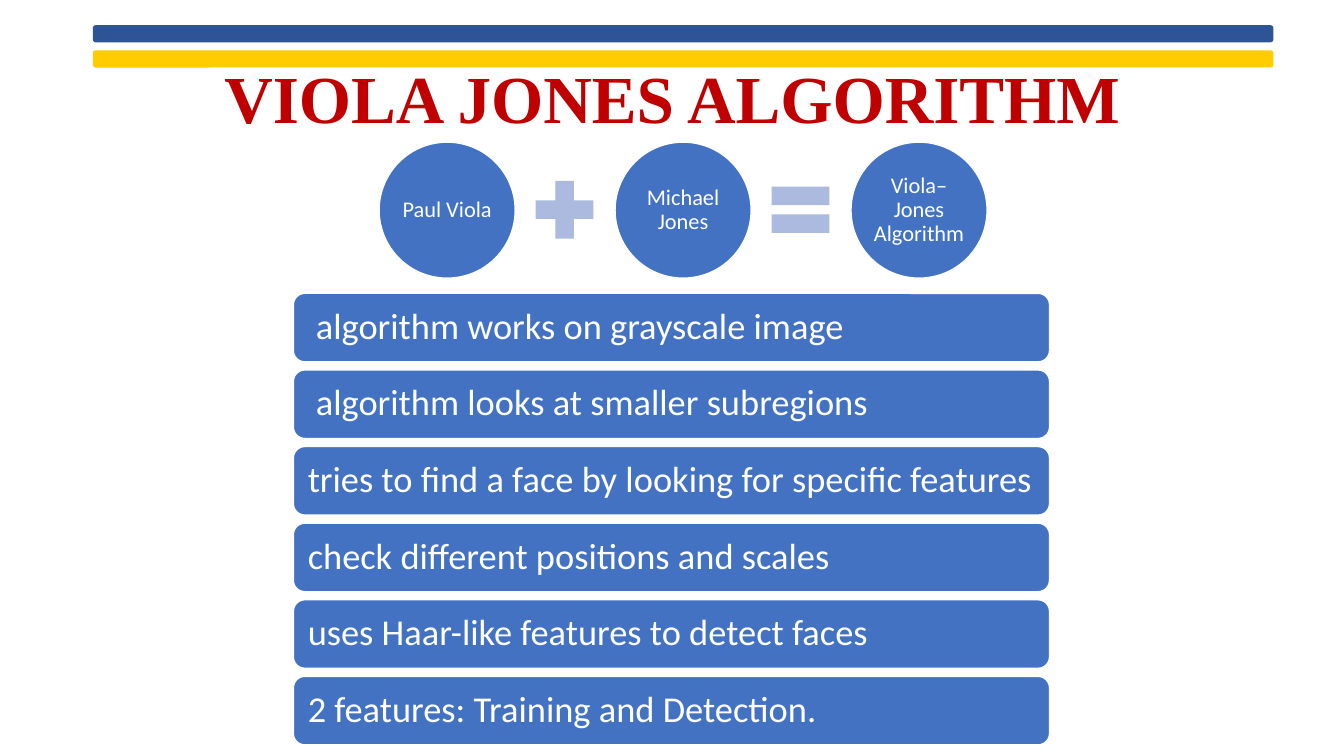
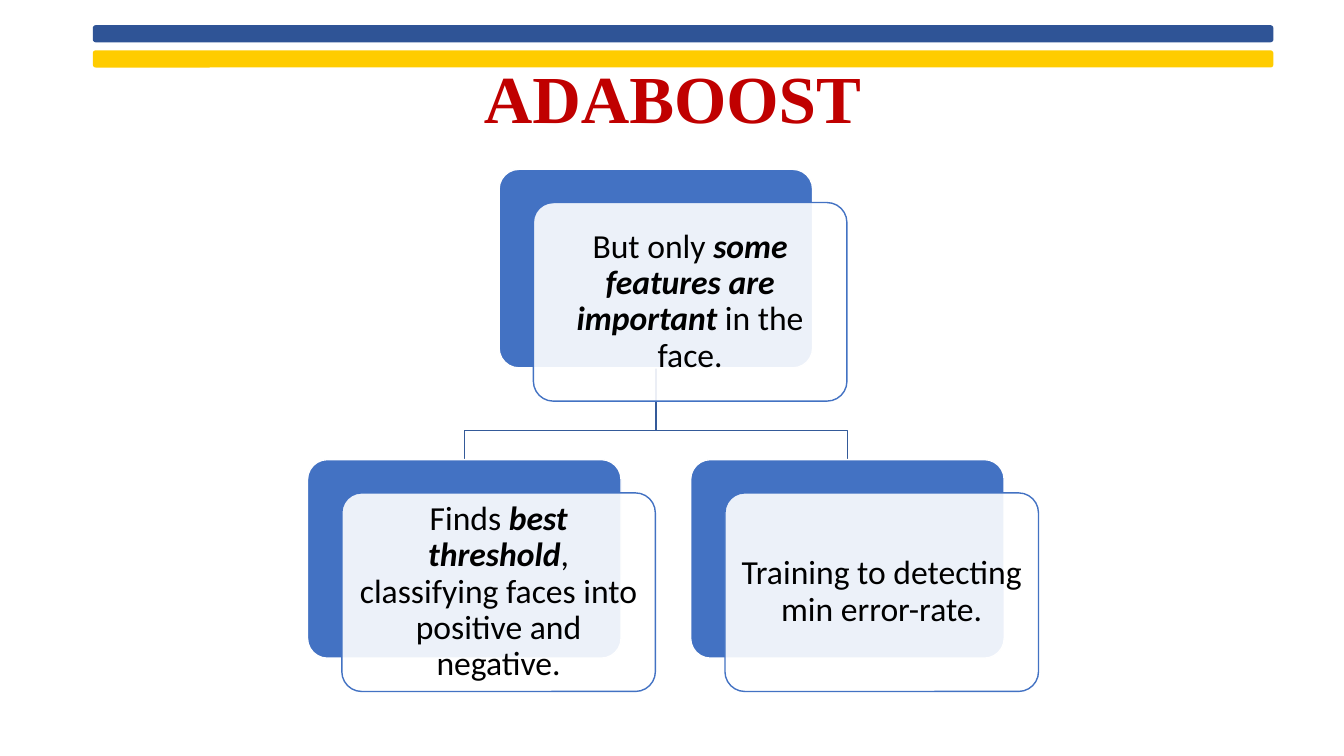
from lxml.etree import SubElement
from pptx import Presentation
from pptx.dml.color import RGBColor
from pptx.enum.shapes import MSO_SHAPE
from pptx.enum.text import MSO_ANCHOR, PP_ALIGN
from pptx.oxml.ns import qn
from pptx.util import Inches, Pt

HUES = {
    "title": "C00000", "navy": "2F5496", "gold": "FFCC00", "blue": "4372C3",
    "sign": "ABBADE", "link": "345A99", "white": "FFFFFF", "black": "000000",
}


def hue(name):
    return RGBColor.from_string(HUES[name])


def draw(slide, kind, box, fill, line=None, runs=(), size=16, ink="white",
         inset=0.1, align=PP_ALIGN.CENTER):
    """Add a filled shape; runs are (text, strong) pairs of one paragraph."""
    shape = slide.shapes.add_shape(kind, *map(Inches, box))
    shape.shadow.inherit = False
    shape.fill.solid()
    shape.fill.fore_color.rgb = hue(fill)
    if line:
        shape.line.color.rgb = hue(line)
        shape.line.width = Pt(1)
    else:
        shape.line.fill.background()
    if runs:
        frame = shape.text_frame
        frame.word_wrap = True
        frame.vertical_anchor = MSO_ANCHOR.MIDDLE
        frame.margin_left = frame.margin_right = Inches(inset)
        frame.margin_top = frame.margin_bottom = Inches(inset)
        para = frame.paragraphs[0]
        para.alignment = align
        para.line_spacing = 0.9
        para.font.name = "Calibri"
        para.font.size = Pt(size)
        para.font.color.rgb = hue(ink)
        for text, strong in runs:
            run = para.add_run()
            run.text = text
            if strong:
                run.font.bold = run.font.italic = True
    return shape


deck = Presentation()
deck.slide_width, deck.slide_height = Inches(13.33), Inches(7.5)

# Titles and bands
slides = []
for name in ("VIOLA JONES ALGORITHM", "ADABOOST"):
    slide = deck.slides.add_slide(deck.slide_layouts[5])
    title = slide.shapes.title
    title.left, title.top = Inches(0.92), Inches(0.46)
    title.width, title.height = Inches(11.5), Inches(1.1)
    title.text_frame.text = name
    title.text_frame.vertical_anchor = MSO_ANCHOR.MIDDLE
    para = title.text_frame.paragraphs[0]
    para.alignment = PP_ALIGN.CENTER
    para.line_spacing = 0.9
    para.font.name = "Times New Roman"
    para.font.size = Pt(48)
    para.font.bold = True
    para.font.color.rgb = hue("title")
    for top, fill in ((0.25, "navy"), (0.5, "gold")):
        draw(slide, MSO_SHAPE.ROUNDED_RECTANGLE, (0.92, top, 11.71, 0.17), fill)
    slides.append(slide)
viola, boost = slides

# Sum of two names
terms = (
    ("Paul Viola", MSO_SHAPE.MATH_PLUS),
    ("Michael Jones", MSO_SHAPE.MATH_EQUAL),
    ("Viola–Jones Algorithm", None),
)
for i, (text, sign) in enumerate(terms):
    left = 3.76 + 2.34 * i
    draw(viola, MSO_SHAPE.OVAL, (left, 1.41, 1.35, 1.35), "blue", "white",
         [(text, False)], inset=0.02)
    if sign:
        draw(viola, sign, (left + 1.45, 1.69, 0.78, 0.78), "sign")

# Facts, the first two set in a little
facts = (
    ("algorithm works on grayscale image", 0.08),
    ("algorithm looks at smaller subregions", 0.08),
    ("tries to find a face by looking for specific features", 0),
    ("check different positions and scales", 0),
    ("uses Haar-like features to detect faces", 0),
    ("2 features: Training and Detection.", 0),
)
for i, (text, indent) in enumerate(facts):
    bar = draw(viola, MSO_SHAPE.ROUNDED_RECTANGLE,
               (2.91, 2.91 + 0.76 * i, 7.5, 0.68), "blue", "white",
               [(text, False)], 26, inset=0.11, align=PP_ALIGN.LEFT)
    bar.text_frame.margin_left = Inches(0.11 + indent)

# Tree: links first, so that the cards cover them
wide, high = 3.11, 1.97
root, kids = (4.95, 1.68), ((3.05, 4.56), (6.85, 4.56))
stem = root[0] + wide / 2
for left, top in kids:
    end = left + wide / 2
    path = boost.shapes.build_freeform(Inches(stem), Inches(root[1] + high))
    points = ((stem, 4.27), (end, 4.27), (end, top))
    path.add_line_segments([(Inches(x), Inches(y)) for x, y in points], close=False)
    link = path.convert_to_shape()
    link.shadow.inherit = False
    link.fill.background()
    link.line.color.rgb = hue("link")
    link.line.width = Pt(1)

cards = (
    (root, [("But only ", False), ("some features are important ", True),
            ("in the face.", False)]),
    (kids[0], [("Finds ", False), ("best threshold", True),
               (", classifying faces into positive and negative.", False)]),
    (kids[1], [("Training to detecting min error-rate.", False)]),
)
for (left, top), runs in cards:
    back = draw(boost, MSO_SHAPE.ROUNDED_RECTANGLE, (left, top, wide, high),
                "blue", "white")
    front = draw(boost, MSO_SHAPE.ROUNDED_RECTANGLE,
                 (left + 0.34, top + 0.33, wide, high), "white", "blue",
                 runs, 24, "black")
    back.adjustments[0] = front.adjustments[0] = 0.1
    tint = front._element.spPr.find(qn("a:solidFill"))[0]
    SubElement(tint, qn("a:alpha")).set("val", "90000")

deck.save("out.pptx")
